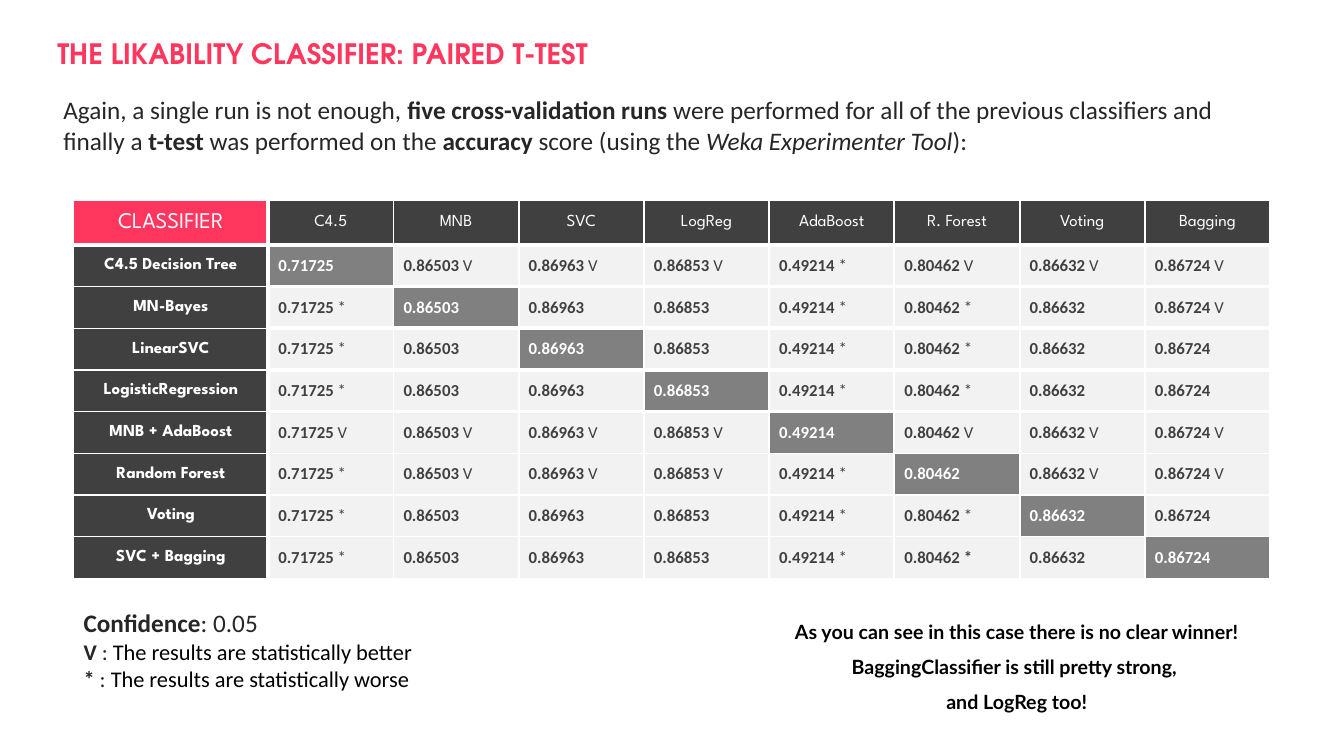
import pptx
import pptx.dml.color
import pptx.enum.text
import pptx.oxml
import pptx.oxml.ns
import pptx.util

Inches = pptx.util.Inches
Pt = pptx.util.Pt
RGBColor = pptx.dml.color.RGBColor
Align = pptx.enum.text.PP_ALIGN
Anchor = pptx.enum.text.MSO_ANCHOR
AutoSize = pptx.enum.text.MSO_AUTO_SIZE

PINK = RGBColor(0xFF, 0x36, 0x5D)
INK = RGBColor(0x26, 0x26, 0x26)
DARK = RGBColor(0x40, 0x40, 0x40)
GREY = RGBColor(0x80, 0x80, 0x80)
PALE = RGBColor(0xF2, 0xF2, 0xF2)
WHITE = RGBColor(0xFF, 0xFF, 0xFF)
BLACK = RGBColor(0, 0, 0)

HEADERS = ["CLASSIFIER", "C4.5", "MNB", "SVC", "LogReg", "AdaBoost", "R. Forest", "Voting", "Bagging"]
ACCURACIES = ["0.71725", "0.86503", "0.86963", "0.86853", "0.49214", "0.80462", "0.86632", "0.86724"]
OUTCOMES = [
    ("C4.5 Decision Tree", ".VVV*VVV"),
    ("MN-Bayes", "*...**.V"),
    ("LinearSVC", "*...**.."),
    ("LogisticRegression", "*...**.."),
    ("MNB + AdaBoost", "VVVV.VVV"),
    ("Random Forest", "*VVV*.VV"),
    ("Voting", "*...**.."),
    ("SVC + Bagging", "*...**.."),
]
BOLD_MARK = (8, 6)


def horizontal_edge(edge, column):
    if edge == 1:
        return 3
    return 3 if column > 0 and 1 < edge <= 5 else 1


def vertical_edge(edge):
    return {0: 1, 1: 3, len(HEADERS): 1}.get(edge, 1.5)


class SlideBuilder:
    body_font = "Calibri"
    table_font = "League Spartan"
    title_font = "TeX Gyre Adventor"
    note_font = "Lato"

    def __init__(self, presentation):
        self.slide = presentation.slides.add_slide(presentation.slide_layouts[5])

    def style(self, font, name, size, color, bold=None):
        font.name = name
        font.size = Pt(size)
        font.color.rgb = color
        font.bold = bold

    def runs(self, paragraph, parts):
        for text, changes in parts:
            run = paragraph.add_run()
            run.text = text
            for name, value in changes.items():
                if name == "color":
                    run.font.color.rgb = value
                else:
                    setattr(run.font, name, value)

    def title(self, text, left, top, width, height):
        shape = self.slide.shapes.title
        shape.left, shape.top, shape.width, shape.height = map(Inches, (left, top, width, height))
        frame = shape.text_frame
        frame.text = text
        frame.word_wrap = True
        frame.auto_size = AutoSize.SHAPE_TO_FIT_TEXT
        frame.vertical_anchor = Anchor.TOP
        paragraph = frame.paragraphs[0]
        paragraph.alignment = Align.LEFT
        self.style(paragraph.font, self.title_font, 20, PINK, True)

    def text(self, paragraphs, left, top, width, height, name, color, bold=None, align=Align.LEFT, spacing=None):
        frame = self.slide.shapes.add_textbox(*map(Inches, (left, top, width, height))).text_frame
        frame.word_wrap = True
        frame.auto_size = AutoSize.SHAPE_TO_FIT_TEXT
        for index, (size, parts) in enumerate(paragraphs):
            paragraph = frame.add_paragraph() if index else frame.paragraphs[0]
            paragraph.alignment = align
            paragraph.line_spacing = spacing
            self.style(paragraph.font, name, size, color, bold)
            self.runs(paragraph, parts)

    def borders(self, cell, row, column):
        properties = cell._tc.get_or_add_tcPr()
        widths = [
            ("L", vertical_edge(column)),
            ("R", vertical_edge(column + 1)),
            ("T", horizontal_edge(row, column)),
            ("B", horizontal_edge(row + 1, column)),
        ]
        for position, (side, width) in enumerate(widths):
            line = pptx.oxml.parse_xml(
                f'<a:ln{side} {pptx.oxml.ns.nsdecls("a")} w="{Pt(width)}">'
                f'<a:solidFill><a:srgbClr val="{WHITE}"/></a:solidFill></a:ln{side}>'
            )
            properties.insert(position, line)

    def cell(self, cell, row, column, parts, fill, size, name, color, bold, align):
        cell.fill.solid()
        cell.fill.fore_color.rgb = fill
        cell.vertical_anchor = Anchor.MIDDLE
        self.borders(cell, row, column)
        paragraph = cell.text_frame.paragraphs[0]
        paragraph.alignment = align
        self.style(paragraph.font, name, size, color, bold)
        self.runs(paragraph, parts)

    def results_table(self, left, top, width, height, label_width, header_height):
        row_count, column_count = len(OUTCOMES) + 1, len(HEADERS)
        frame = self.slide.shapes.add_table(row_count, column_count, *map(Inches, (left, top, width, height)))
        table = frame.table
        table.first_row = table.horz_banding = False
        for index, column in enumerate(table.columns):
            column.width = Inches((width - label_width) / len(ACCURACIES) if index else label_width)
        for index, row in enumerate(table.rows):
            row.height = Inches((height - header_height) / len(OUTCOMES) if index else header_height)

        for column, header in enumerate(HEADERS):
            fill, size = (DARK, 12) if column else (PINK, 16)
            self.cell(table.cell(0, column), 0, column, [(header, {})], fill, size,
                      self.table_font, WHITE, False, Align.CENTER)
        for row, (label, marks) in enumerate(OUTCOMES, 1):
            self.cell(table.cell(row, 0), row, 0, [(label, {})], DARK, 12,
                      self.table_font, WHITE, True, Align.CENTER)
            for column, (accuracy, mark) in enumerate(zip(ACCURACIES, marks), 1):
                parts = [(accuracy, {})]
                if mark != ".":
                    parts = [(accuracy + " ", {}), (mark, {"bold": (row, column) == BOLD_MARK})]
                fill, color = (GREY, WHITE) if row == column else (PALE, DARK)
                self.cell(table.cell(row, column), row, column, parts, fill, 12,
                          self.body_font, color, True, Align.LEFT)


def main():
    presentation = pptx.Presentation()
    presentation.slide_width = Inches(13.33)
    presentation.slide_height = Inches(7.5)
    builder = SlideBuilder(presentation)
    bold = {"bold": True}

    builder.title("THE LIKABILITY CLASSIFIER: PAIRED T-TEST", 0.47, 0.31, 9.72, 0.44)
    builder.text([(18, [
        ("Again, a single run is not enough, ", {}),
        ("five cross-validation runs ", bold),
        ("were performed for all of the previous classifiers and finally a ", {}),
        ("t-test ", bold),
        ("was performed on the ", {}),
        ("accuracy", bold),
        (" score (using the ", {}),
        ("Weka Experimenter Tool", {"italic": True}),
        ("):", {}),
    ])], 0.53, 0.89, 11.87, 0.71, builder.body_font, INK)
    builder.results_table(0.73, 1.99, 11.87, 3.75, 1.93, 0.44)

    legend = [(18, [("Confidence", bold), (": 0.05", {})])]
    for mark, meaning in (("V", "better"), ("*", "worse")):
        legend.append((16, [
            (mark + " ", bold),
            (": ", {}),
            ("The results are statistically " + meaning, {"color": BLACK}),
        ]))
    builder.text(legend, 0.73, 5.98, 3.79, 0.94, builder.body_font, INK)
    builder.text([
        (14, [("As you can see in this case there is no clear winner! "
               "BaggingClassifier is still pretty strong, ", {})]),
        (14, [("and LogReg too!", {})]),
    ], 7.68, 5.98, 4.81, 1.16, builder.note_font, BLACK, True, Align.CENTER, 1.5)
    presentation.save("out.pptx")


if __name__ == "__main__":
    main()
